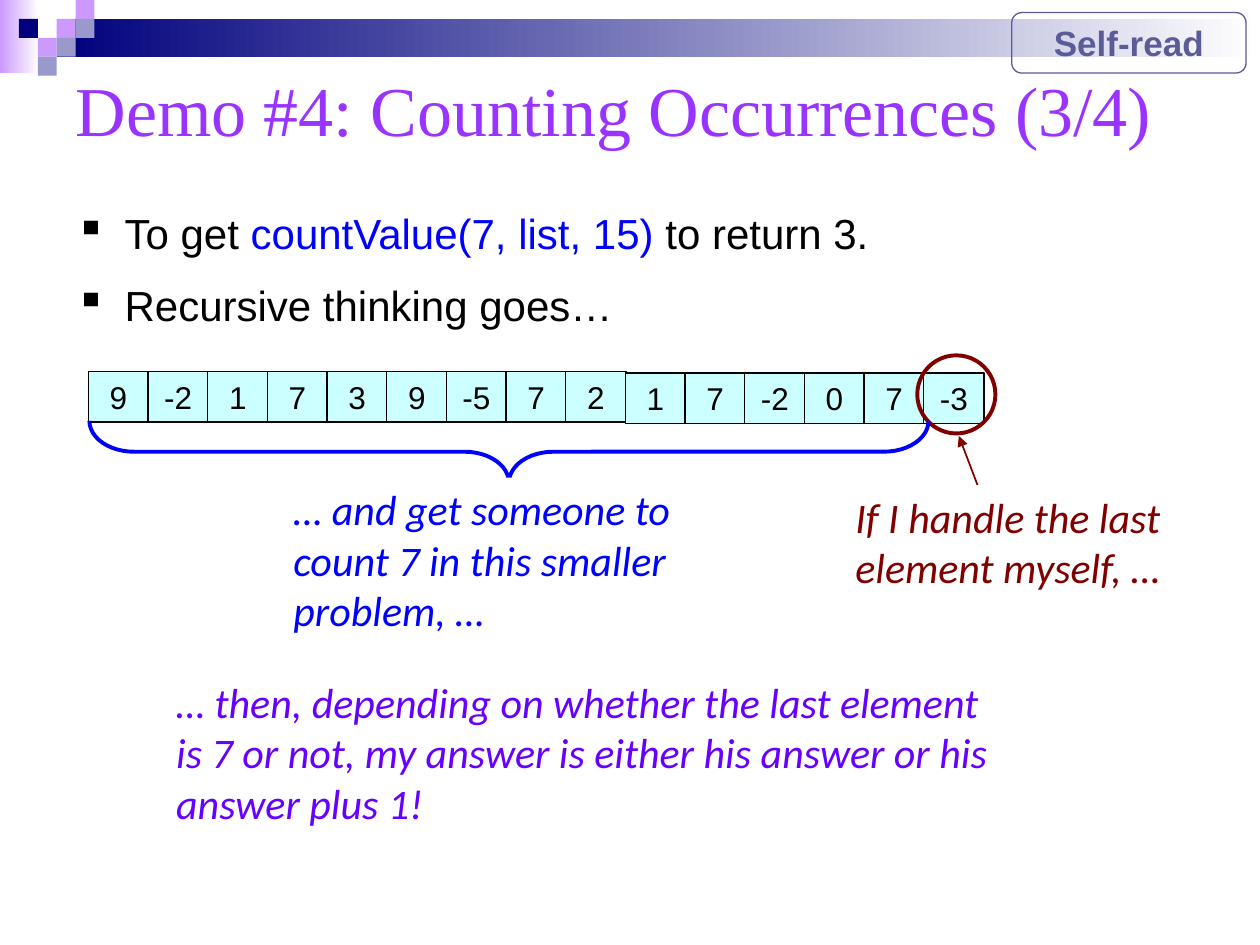
from dataclasses import dataclass

from lxml import etree
from pptx import Presentation
from pptx import util as u
from pptx.dml.color import RGBColor
from pptx.enum import shapes, text
from pptx.oxml import ns

COLORS = {
    "navy": "00007D", "lilac": "CC99FF", "slate": "9999CC", "white": "FFFFFF",
    "title": "9933FF", "black": "000000", "blue": "0000FF", "cell": "CCFFFF",
    "maroon": "800000", "violet": "6600FF", "badge": "5B5B98",
}
COLUMNS, ROWS = 100, 75
UNIT = u.Inches(0.1)
VALUES = [9, -2, 1, 7, 3, 9, -5, 7, 2, 1, 7, -2, 0, 7, -3]
KIND = shapes.MSO_SHAPE


@dataclass
class Box:
    left: float
    top: float
    width: float
    height: float

    def inner(self, column, row, columns, rows):
        return Box(self.left + column, self.top + row, columns, rows)

    def lengths(self):
        return [round(n * UNIT) for n in (self.left, self.top, self.width, self.height)]


def color(name):
    return RGBColor.from_string(COLORS[name])


def add_shape(page, kind, box, fill=None, line=None, weight=0.75):
    shape = page.shapes.add_shape(kind, *box.lengths())
    shape.shadow.inherit = False
    if fill:
        shape.fill.solid()
        shape.fill.fore_color.rgb = color(fill)
    else:
        shape.fill.background()
    if line:
        shape.line.color.rgb = color(line)
        shape.line.width = u.Pt(weight)
    else:
        shape.line.fill.background()
    return shape


def style(para, size, font, ink, bold=False, italic=False):
    para.font.size = u.Pt(size)
    para.font.name = font
    para.font.bold = bold
    para.font.italic = italic
    para.font.color.rgb = color(ink)


def write_label(shape, words, size, ink, bold=False):
    frame = shape.text_frame
    frame.word_wrap = True
    frame.vertical_anchor = text.MSO_ANCHOR.TOP
    para = frame.paragraphs[0]
    para.text = words
    para.alignment = text.PP_ALIGN.CENTER
    style(para, size, "Arial", ink, bold=bold)


def add_note(page, box, words, ink):
    note = page.shapes.add_textbox(*box.lengths())
    note.fill.solid()
    note.fill.fore_color.rgb = color("white")
    note.text_frame.word_wrap = True
    para = note.text_frame.paragraphs[0]
    para.text = words
    style(para, 24, "Calibri", ink, italic=True)


def add_banner(page, box):
    fades = [(box.inner(0, 0, 3.1, 5.8), "lilac"),
             (box.inner(4.5, 1.5, box.width - 4.5, 3), "navy")]
    for place, start in fades:
        band = add_shape(page, KIND.RECTANGLE, place, start)
        band.fill.gradient()
        band.fill.gradient_angle = 0
        for stop, name, position in zip(band.fill.gradient_stops, (start, "white"), (0, 1)):
            stop.color.rgb = color(name)
            stop.position = position
    tile = 1.5
    tiles = [(3, 1, "lilac"), (4, 0, "lilac"), (4, 1, "slate"), (2, 2, "lilac"),
             (1, 1, "navy"), (3, 2, "slate"), (2, 3, "slate")]
    for column, row, name in tiles:
        add_shape(page, KIND.RECTANGLE, box.inner(column * tile, row * tile, tile, tile), name)


def add_title(page, box):
    title = page.shapes.title
    title.left, title.top, title.width, title.height = box.lengths()
    title.text_frame.vertical_anchor = text.MSO_ANCHOR.MIDDLE
    para = title.text_frame.paragraphs[0]
    para.text = "Demo #4: Counting Occurrences (3/4)"
    para.alignment = text.PP_ALIGN.LEFT
    style(para, 40, "Times New Roman", "title")


def add_bullets(page, box):
    frame = page.shapes.add_textbox(*box.lengths()).text_frame
    frame.word_wrap = True
    lines = [
        [("To get ", "black"), ("countValue(7, list, 15)", "blue"), (" to return 3.", "black")],
        [("Recursive thinking goes…", "black")],
    ]
    for index, spans in enumerate(lines):
        para = frame.add_paragraph() if index else frame.paragraphs[0]
        properties = para._p.get_or_add_pPr()
        properties.set("marL", str(u.Inches(0.39)))
        properties.set("indent", str(-u.Inches(0.39)))
        etree.SubElement(properties, ns.qn("a:buChar"), char="▪")
        if index:
            para.space_before = u.Pt(12)
        style(para, 24, "Arial", "black")
        for words, ink in spans:
            span = para.add_run()
            span.text = words
            if ink != "black":
                span.font.color.rgb = color(ink)


def add_array(page, box):
    cell = 4.8
    pitch = (box.width - cell) / (len(VALUES) - 1)
    for index, value in enumerate(VALUES):
        drop = 0.1 if index >= 9 else 0
        place = box.inner(index * pitch, drop, cell, box.height)
        shape = add_shape(page, KIND.RECTANGLE, place, "cell", "black")
        write_label(shape, str(value), 18, "black")


def add_last_element(page, box):
    start, end = box.inner(11.1, 11.4, 0, 0), box.inner(9.2, 6.4, 0, 0)
    arrow = page.shapes.add_connector(
        shapes.MSO_CONNECTOR.STRAIGHT, *start.lengths()[:2], *end.lengths()[:2])
    arrow.line.color.rgb = color("maroon")
    arrow.line.width = u.Pt(1)
    etree.SubElement(arrow._element.spPr.find(ns.qn("a:ln")), ns.qn("a:tailEnd"), type="triangle")
    etree.SubElement(arrow._element.spPr, ns.qn("a:effectLst"))
    add_note(page, box.inner(0, 10.3, box.width, 9.1),
             "If I handle the last element myself, …", "maroon")
    add_shape(page, KIND.OVAL, box.inner(5.9, 0, 6.2, 6.2), None, "maroon", 2.25)


def add_smaller_problem(page, box):
    depth = 4.9
    upright = box.inner((box.width - depth) / 2, (depth - box.width) / 2, depth, box.width)
    brace = add_shape(page, KIND.LEFT_BRACE, upright, None, "blue", 2.25)
    brace.rotation = 270
    brace.adjustments[0] = 0.72
    add_note(page, box.inner(15.2, 4.5, 39.2, 13.1),
             "… and get someone to count 7 in this smaller problem, …", "blue")


def add_badge(page, box):
    badge = add_shape(page, KIND.ROUNDED_RECTANGLE, box, None, "badge")
    write_label(badge, "Self-read", 20, "badge", bold=True)


def main():
    deck = Presentation()
    deck.slide_width, deck.slide_height = COLUMNS * UNIT, ROWS * UNIT
    page = deck.slides.add_slide(deck.slide_layouts[5])
    sheet = Box(0, 0, COLUMNS, ROWS)
    add_banner(page, sheet.inner(0, 0, COLUMNS, 6))
    add_title(page, sheet.inner(5, 4.2, 90, 8.8))
    add_bullets(page, sheet.inner(5, 16, 78.5, 10.8))
    add_array(page, sheet.inner(7, 29.5, 71.1, 4))
    add_last_element(page, sheet.inner(66.9, 28.2, 27.9, 19.4))
    add_smaller_problem(page, sheet.inner(7.1, 33.4, 66.6, 17.7))
    add_note(page, sheet.inner(13, 53.2, 66.4, 13.1),
             "… then, depending on whether the last element is 7 or not, "
             "my answer is either his answer or his answer plus 1!", "violet")
    add_badge(page, sheet.inner(80.3, 1, 18.6, 4.8))
    deck.save("out.pptx")


if __name__ == "__main__":
    main()
